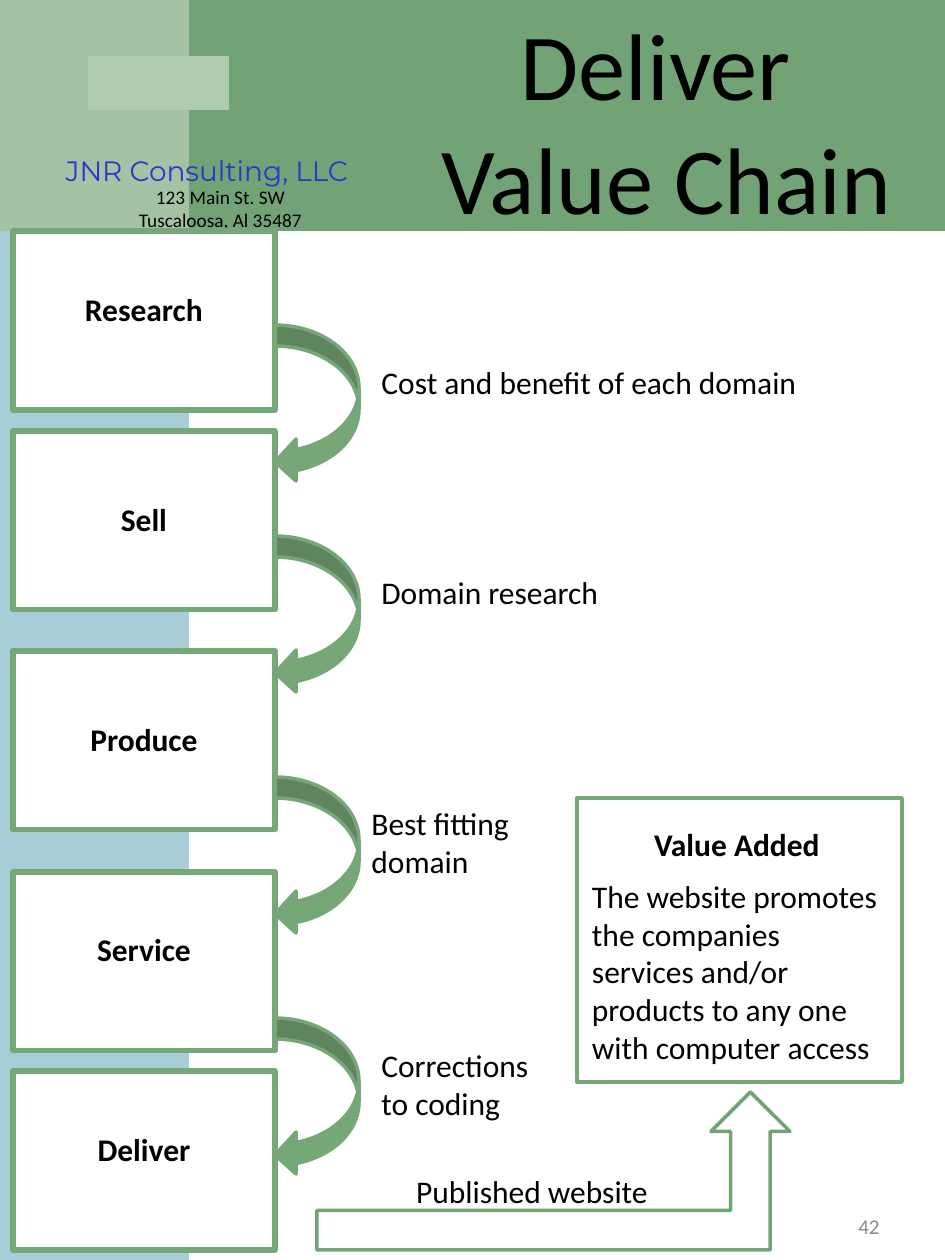
from dataclasses import dataclass

from lxml.etree import SubElement
from pptx import Presentation
from pptx.dml.color import RGBColor as Rgb
from pptx.enum.shapes import MSO_SHAPE as Kind
from pptx.enum.text import MSO_ANCHOR as Anchor, MSO_AUTO_SIZE as Fit, PP_ALIGN as Align
from pptx.oxml.ns import qn
from pptx.util import Pt

SCALE = 914400 / 126


def px(n):
    return round(n * SCALE)


@dataclass(frozen=True)
class Theme:
    band: str = "72A376"
    side: str = "A8CDD7"
    tint: str = "B0CCB0"
    edge: str = "76A776"
    paper: str = "FFFFFF"
    ink: str = "000000"
    blue: str = "3333CC"
    grey: str = "8C8C8C"
    face: str = "Calibri"
    brand: str = "Montserrat"
    head: int = 54
    firm: int = 16
    body: int = 18
    page: int = 12
    small: int = 11


LOOK = Theme()


def write(frame, text, size=LOOK.body, face=LOOK.face, color=LOOK.ink, bold=False,
          align=Align.LEFT, anchor=Anchor.TOP, before=0, add=False):
    frame.word_wrap = True
    frame.auto_size = Fit.NONE
    frame.vertical_anchor = anchor
    for i, line in enumerate(text.split("\n")):
        para = frame.add_paragraph() if add or i else frame.paragraphs[0]
        para.alignment = align
        para.space_before = Pt(before)
        run = para.add_run()
        run.text = line
        font = run.font
        font.name, font.size, font.bold = face, Pt(size), bold
        font.color.rgb = Rgb.from_string(color)


class Page:
    def __init__(self, look, wide, high):
        self.look = look
        self.deck = Presentation()
        self.deck.slide_width, self.deck.slide_height = px(wide), px(high)
        self.slide = self.deck.slides.add_slide(self.deck.slide_layouts[5])

    def shape(self, kind, box, fill, line=None, width=2, alpha=None):
        item = self.slide.shapes.add_shape(kind, *map(px, box))
        item.shadow.inherit = False
        item.fill.solid()
        item.fill.fore_color.rgb = Rgb.from_string(fill)
        if alpha:
            tone = item.element.spPr.find(qn("a:solidFill"))[0]
            SubElement(tone, qn("a:alpha"), val=str(alpha * 1000))
        if line:
            item.line.color.rgb = Rgb.from_string(line)
            item.line.width = Pt(width)
        else:
            item.line.fill.background()
        return item

    def card(self, box, text, pad, width=3):
        item = self.shape(Kind.RECTANGLE, box, self.look.paper, self.look.edge, width)
        item.text_frame.margin_top = px(pad)
        write(item.text_frame, text, bold=True, align=Align.CENTER)
        return item

    def text(self, box, text, **form):
        item = self.slide.shapes.add_textbox(*map(px, box))
        write(item.text_frame, text, **form)

    def title(self, box, text):
        item = self.slide.shapes.title
        item.left, item.top, item.width, item.height = map(px, box)
        write(item.text_frame, text, size=self.look.head, align=Align.CENTER)
        tree = item.element.getparent()
        tree.append(item.element)


def main():
    page = Page(LOOK, 945, 1260)
    mid = Align.CENTER

    page.shape(Kind.RECTANGLE, (0, 84, 189, 1176), LOOK.side)
    page.shape(Kind.RECTANGLE, (0, 0, 945, 231), LOOK.band)
    page.shape(Kind.RECTANGLE, (0, 0, 189, 231), LOOK.tint, alpha=80)
    page.shape(Kind.RECTANGLE, (88, 56, 141, 54), LOOK.tint)
    page.text((42, 147, 330, 39), "JNR Consulting, LLC", size=LOOK.firm,
              face=LOOK.brand, color=LOOK.blue, align=mid)
    page.text((0, 179, 441, 59), "123 Main St. SW\nTuscaloosa, Al 35487",
              size=LOOK.small, align=mid)
    page.title((388, 0, 557, 242), "Deliver \nValue Chain")

    steps = [("Research", 231, 59), ("Sell", 431, 69), ("Produce", 651, 69),
             ("Service", 872, 58), ("Deliver", 1071, 59)]
    for name, top, pad in steps:
        page.card((13, top, 262, 179), name, pad)

    links = [(325, "Cost and benefit of each domain", (369, 357, 462, 50)),
             (536, "Domain research", (369, 567, 252, 50)),
             (777, "Best fitting domain", (359, 798, 220, 89)),
             (1018, "Corrections to coding", (369, 1040, 189, 89))]
    for top, note, box in links:
        page.shape(Kind.CURVED_LEFT_ARROW, (275, top, 84, 158), LOOK.edge, LOOK.edge)
        page.text(box, note)

    page.shape(Kind.BENT_UP_ARROW, (317, 1092, 473, 158), LOOK.paper, LOOK.band)
    page.text((338, 1166, 388, 50), "Published website", align=mid)

    value = page.card((577, 798, 325, 284), "Value Added", 27, 2.25).text_frame
    value.margin_left, value.margin_right = px(15), px(20)
    write(value, "The website promotes the companies services and/or "
          "products to any one with computer access", before=8, add=True)

    page.text((672, 1193, 220, 67), "42", size=LOOK.page, color=LOOK.grey,
              align=Align.RIGHT, anchor=Anchor.MIDDLE)
    page.deck.save("out.pptx")


if __name__ == "__main__":
    main()
